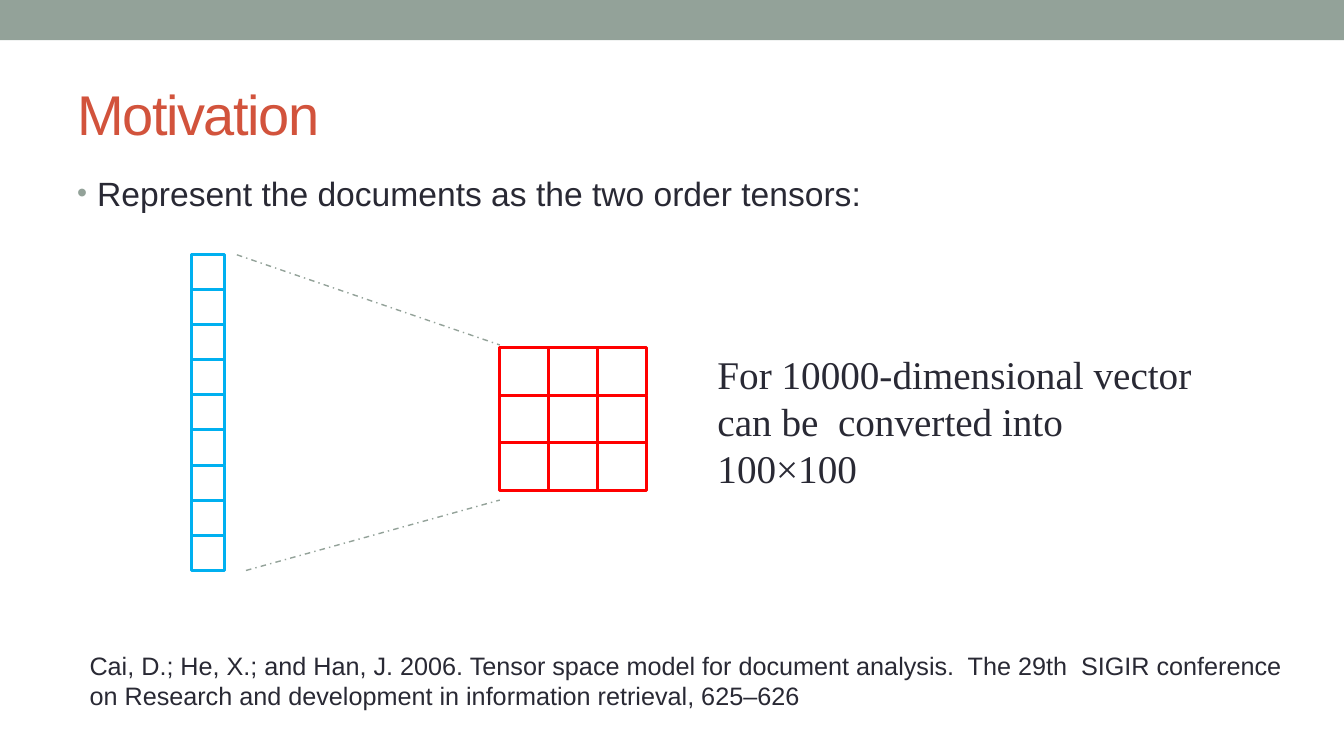
"""Build the Motivation slide on representing documents as two order tensors."""
from dataclasses import dataclass

import pptx
import pptx.dml.color
import pptx.enum.dml
import pptx.enum.shapes
import pptx.enum.text
import pptx.oxml
import pptx.oxml.ns
import pptx.util

Pt = pptx.util.Pt
SHAPE = pptx.enum.shapes.MSO_SHAPE
ANCHOR = pptx.enum.text.MSO_ANCHOR


@dataclass(frozen=True)
class Theme:
    """Hold the colours, fonts and type sizes of the slide."""

    sage: str = "93A299"
    heading: str = "D2533C"
    ink: str = "292934"
    vector: str = "00B0F0"
    tensor: str = "FF0000"
    sans: str = "Arial"
    serif: str = "Times New Roman"
    title_size: int = 40
    point_size: int = 24
    note_size: int = 28
    citation_size: int = 18
    cell_line: float = 2.08
    guide_line: float = 1


THEME = Theme()


def rgb(code):
    """Turn a hex code into a colour."""
    return pptx.dml.color.RGBColor.from_string(code)


def apply(target, values):
    """Set every attribute named in values on the target."""
    for name, value in values.items():
        setattr(target, name, value)


def element(xml):
    """Parse one DrawingML element, with its namespace filled in."""
    return pptx.oxml.parse_xml(xml.replace("/>", f" {pptx.oxml.ns.nsdecls('a')}/>", 1)
                               if xml.endswith("/>") and xml.count("<") == 1
                               else xml.replace(">", f" {pptx.oxml.ns.nsdecls('a')}>", 1))


def write(frame, text, font, size, colour, anchor=ANCHOR.TOP):
    """Write one left-aligned paragraph and return it."""
    apply(frame, {"word_wrap": True, "vertical_anchor": anchor,
                  "auto_size": pptx.enum.text.MSO_AUTO_SIZE.NONE})
    paragraph = frame.paragraphs[0]
    paragraph.alignment = pptx.enum.text.PP_ALIGN.LEFT
    run = paragraph.add_run()
    run.text = text
    apply(run.font, {"name": font, "size": Pt(size)})
    run.font.color.rgb = rgb(colour)
    return paragraph


def add_heading(slide, text, left, top, width, height):
    """Place and format the title placeholder."""
    heading = slide.shapes.title
    apply(heading, {"left": Pt(left), "top": Pt(top),
                    "width": Pt(width), "height": Pt(height)})
    paragraph = write(heading.text_frame, text, THEME.sans, THEME.title_size,
                      THEME.heading, ANCHOR.MIDDLE)
    paragraph.runs[0]._r.get_or_add_rPr().set("spc", "-100")


def add_text(slide, text, box, font, size):
    """Add a text box and return its paragraph."""
    frame = slide.shapes.add_textbox(*map(Pt, box)).text_frame
    return write(frame, text, font, size, THEME.ink)


def add_bullet(paragraph, indent):
    """Give the paragraph a small sage bullet with a hanging indent."""
    properties = paragraph._p.get_or_add_pPr()
    properties.set("marL", str(Pt(indent)))
    properties.set("indent", str(-Pt(indent)))
    for xml in (f'<a:buClr><a:srgbClr val="{THEME.sage}"/></a:buClr>',
                '<a:buSzPct val="85000"/>',
                '<a:buFont typeface="Arial"/>',
                '<a:buChar char="•"/>'):
        properties.append(element(xml))


def add_rectangle(slide, left, top, width, height):
    """Add a rectangle without a shadow."""
    rectangle = slide.shapes.add_shape(SHAPE.RECTANGLE,
                                       *map(Pt, (left, top, width, height)))
    rectangle.shadow.inherit = False
    return rectangle


def add_band(slide, width, height):
    """Add the plain band along the top edge."""
    band = add_rectangle(slide, 0, 0, width, height)
    band.fill.solid()
    band.fill.fore_color.rgb = rgb(THEME.sage)
    band.line.fill.background()


def add_grid(slide, left, top, columns, rows, cell_width, cell_height, colour):
    """Add a grid of outlined cells."""
    for row in range(rows):
        for column in range(columns):
            cell = add_rectangle(slide, left + column * cell_width,
                                 top + row * cell_height, cell_width, cell_height)
            cell.fill.background()
            cell.line.color.rgb = rgb(colour)
            cell.line.width = Pt(THEME.cell_line)


def add_guide(slide, start, end):
    """Add a thin dash-dot line between two points."""
    guide = slide.shapes.add_connector(pptx.enum.shapes.MSO_CONNECTOR.STRAIGHT,
                                       *map(Pt, start + end))
    guide.line.color.rgb = rgb(THEME.sage)
    apply(guide.line, {"width": Pt(THEME.guide_line),
                       "dash_style": pptx.enum.dml.MSO_LINE.DASH_DOT})
    guide._element.spPr.append(element("<a:effectLst/>"))


def main():
    """Build and save the slide."""
    deck = pptx.Presentation()
    apply(deck, {"slide_width": Pt(960), "slide_height": Pt(540)})
    slide = deck.slides.add_slide(deck.slide_layouts.get_by_name("Title Only"))

    add_band(slide, 960, 28.8)
    add_heading(slide, "Motivation", 48, 42, 864, 78)
    point = add_text(slide, "Represent the documents as the two order tensors:",
                     (48, 120, 864, 384), THEME.sans, THEME.point_size)
    add_bullet(point, 14.4)

    add_grid(slide, 136.6, 181.6, 1, 9, 24, 25.1, THEME.vector)
    add_guide(slide, (169.2, 182), (357, 246.4))
    add_guide(slide, (175.7, 407.5), (357, 357.2))
    add_grid(slide, 357, 248.2, 3, 3, 35, 34, THEME.tensor)

    add_text(slide, "For 10000-dimensional vector can be  converted into 100×100",
             (505.4, 246.4, 366.5, 108.7), THEME.serif, THEME.note_size)
    add_text(slide, "Cai, D.; He, X.; and Han, J. 2006. Tensor space model for document "
             "analysis.  The 29th  SIGIR conference on Research and development in "
             "information retrieval, 625–626",
             (56.9, 460.8, 874.8, 51), THEME.sans, THEME.citation_size)
    deck.save("out.pptx")


if __name__ == "__main__":
    main()
